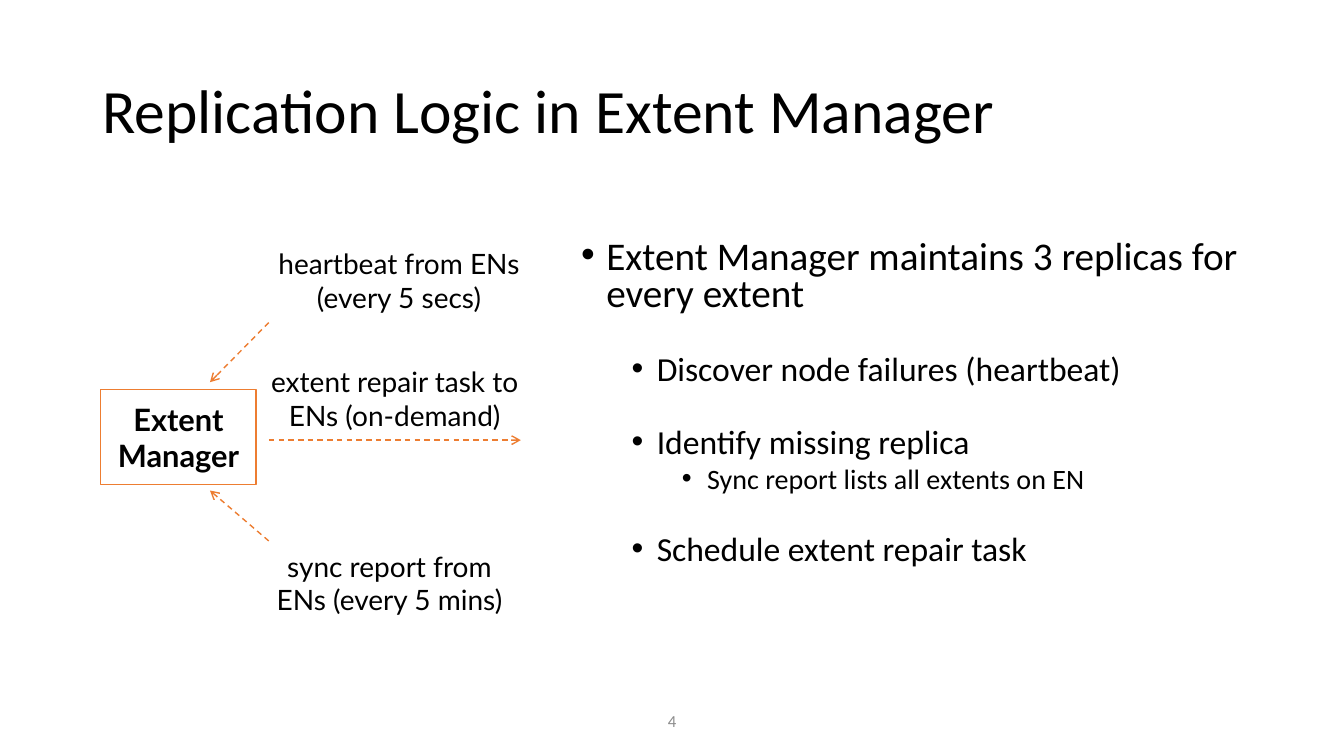
import pptx
import pptx.util
import pptx.dml.color
import pptx.enum.dml
import pptx.enum.shapes
import pptx.enum.text
import pptx.oxml.ns
import lxml.etree

ALIGN = pptx.enum.text.PP_ALIGN
ANCHOR = pptx.enum.text.MSO_ANCHOR
COLS, ROWS = 160, 90
INK, ACCENT, GREY, WHITE = "000000", "ED7D31", "8C8C8C", "FFFFFF"


def color(code):
    return pptx.dml.color.RGBColor.from_string(code)


def child(node, tag, **attrs):
    lxml.etree.SubElement(node, pptx.oxml.ns.qn(tag), attrs)


class Deck:
    head, body = "Calibri", "Lato"

    def __init__(self):
        self.file = pptx.Presentation()
        self.file.slide_width = pptx.util.Inches(13.33)
        self.file.slide_height = pptx.util.Inches(7.5)
        self.slide = self.file.slides.add_slide(self.file.slide_layouts[6])

    def place(self, col, row):
        return (round(self.file.slide_width * col / COLS),
                round(self.file.slide_height * row / ROWS))

    def frame(self, shape, anchor, side=0.1, edge=0.05):
        frame = shape.text_frame
        frame.word_wrap = True
        frame.vertical_anchor = anchor
        frame.margin_left = frame.margin_right = pptx.util.Inches(side)
        frame.margin_top = frame.margin_bottom = pptx.util.Inches(edge)
        return frame

    def run(self, para, words, size, font, ink=INK, bold=False):
        run = para.add_run()
        run.text = words
        run.font.name = font
        run.font.size = pptx.util.Pt(size)
        run.font.bold = bold
        run.font.color.rgb = color(ink)

    def box(self, spot, area):
        return self.slide.shapes.add_textbox(*self.place(*spot), *self.place(*area))

    def title(self, spot, area, words):
        para = self.frame(self.box(spot, area), ANCHOR.MIDDLE).paragraphs[0]
        para.line_spacing = 0.9
        self.run(para, words, 44, self.head)

    def number(self, spot, area, words):
        para = self.frame(self.box(spot, area), ANCHOR.MIDDLE).paragraphs[0]
        para.alignment = ALIGN.CENTER
        self.run(para, words, 12, self.head, GREY)

    def label(self, spot, area, words):
        para = self.frame(self.box(spot, area), ANCHOR.TOP, 0, 0).paragraphs[0]
        para.alignment = ALIGN.CENTER
        self.run(para, words, 20, self.body)

    def node(self, spot, area, words):
        shape = self.slide.shapes.add_shape(
            pptx.enum.shapes.MSO_SHAPE.RECTANGLE, *self.place(*spot), *self.place(*area))
        shape.shadow.inherit = False
        shape.fill.solid()
        shape.fill.fore_color.rgb = color(WHITE)
        shape.line.color.rgb = color(ACCENT)
        shape.line.width = pptx.util.Pt(1)
        para = self.frame(shape, ANCHOR.MIDDLE).paragraphs[0]
        para.alignment = ALIGN.CENTER
        self.run(para, words, 22, self.body, bold=True)

    def arrow(self, start, end):
        link = self.slide.shapes.add_connector(
            pptx.enum.shapes.MSO_CONNECTOR.STRAIGHT, *self.place(*start), *self.place(*end))
        link.line.color.rgb = color(ACCENT)
        link.line.width = pptx.util.Pt(1)
        link.line.dash_style = pptx.enum.dml.MSO_LINE.DASH
        props = link._element.spPr
        child(props.get_or_add_ln(), "a:tailEnd", type="arrow")
        child(props, "a:effectLst")

    def points(self, spot, area, items):
        frame = self.frame(self.box(spot, area), ANCHOR.TOP)
        for num, (level, gap, words) in enumerate(items):
            para = frame.add_paragraph() if num else frame.paragraphs[0]
            para.level = level
            para.line_spacing = 0.8
            para.space_before = pptx.util.Pt(gap)
            self.run(para, words, 28 - 4 * level, self.head)
            props = para._p.get_or_add_pPr()
            props.set("marL", str(pptx.util.Inches(0.25 + 0.5 * level)))
            props.set("indent", str(pptx.util.Inches(-0.25)))
            child(props, "a:buFont", typeface="Arial")
            child(props, "a:buChar", char="\u2022")


deck = Deck()
deck.title((11, 4.8), (138, 17.4), "Replication Logic in Extent Manager")
deck.points((68, 28), (85.2, 43.9), [
    (0, 10, "Extent Manager maintains 3 replicas for every extent"),
    (1, 29, "Discover node failures (heartbeat)"),
    (1, 29, "Identify missing replica"),
    (2, 5, "Sync report lists all extents on EN"),
    (1, 29, "Schedule extent repair task"),
])
deck.number((53, 83.4), (54, 4.8), "4")
deck.node((12, 46.4), (18.5, 11.3), "Extent Manager")
for start, end in [((32, 38.4), (25, 45.5)),
                   ((32, 64.4), (25, 58.4)),
                   ((32, 52.4), (62, 52.4))]:
    deck.arrow(start, end)
for col, row, wide, words in [
        (33, 29.4, 29, "heartbeat from ENs (every 5 secs)"),
        (32.75, 65.4, 27.25, "sync report from ENs (every 5 mins)"),
        (32, 43.4, 30, "extent repair task to ENs (on-demand)")]:
    deck.label((col, row), (wide, 8), words)
deck.file.save("out.pptx")
